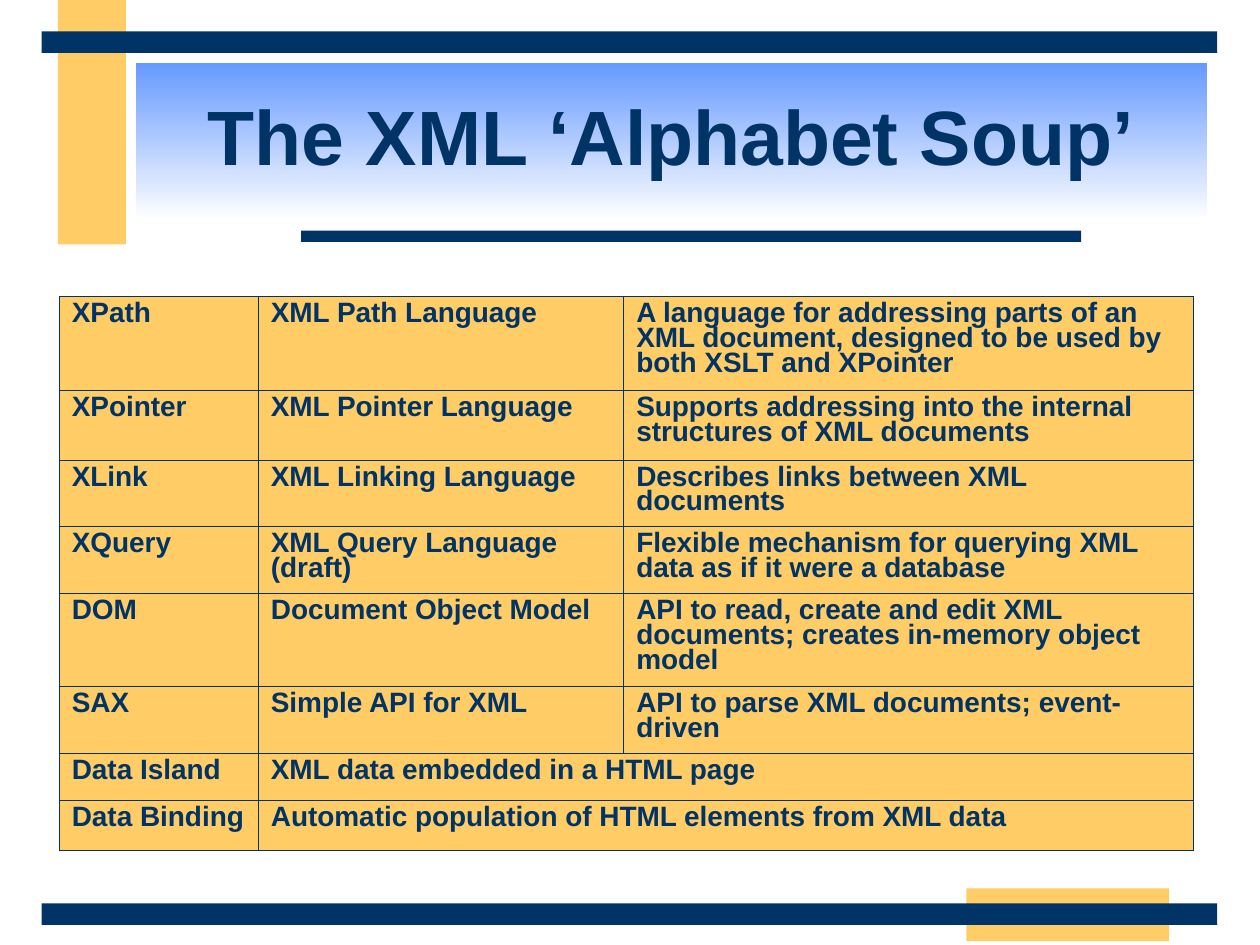
from lxml.etree import SubElement
from pptx import Presentation
from pptx.dml.color import RGBColor
from pptx.enum.shapes import MSO_SHAPE
from pptx.enum.text import MSO_ANCHOR, PP_ALIGN
from pptx.oxml.ns import qn
from pptx.util import Inches, Pt

COLORS = {"navy": "003366", "gold": "FFCC66", "blue": "6699FF", "white": "FFFFFF"}
FONT = "Arial"
BORDER_WIDTH = Pt(0.45)

DECORATIONS = [
    ("gold", (0.46, 0, 0.54, 1.94)),
    ("gold", (7.67, 7.05, 1.61, 0.42)),
    ("navy", (2.39, 1.83, 6.19, 0.09)),
    ("navy", (0.33, 7.17, 9.33, 0.17)),
    ("navy", (0.33, 0.25, 9.33, 0.17)),
]
TITLE_BOX = (1.08, 0.5, 8.5, 1.25)
TABLE_BOX = (0.47, 2.35, 9, 4.4)
COLUMN_WIDTHS = [1.58, 2.9, 4.52]
ROW_HEIGHTS = [0.75, 0.55, 0.53, 0.53, 0.74, 0.53, 0.37, 0.4]

# A row with two entries lets its second one span the last two columns.
TERMS = [
    ("XPath", "XML Path Language",
     "A language for addressing parts of an XML document, "
     "designed to be used by both XSLT and XPointer"),
    ("XPointer", "XML Pointer Language",
     "Supports addressing into the internal structures of XML documents"),
    ("XLink", "XML Linking Language", "Describes links between XML documents"),
    ("XQuery", "XML Query Language (draft)",
     "Flexible mechanism for querying XML data as if it were a database"),
    ("DOM", "Document Object Model",
     "API to read, create and edit XML documents; creates in-memory object model"),
    ("SAX", "Simple API for XML", "API to parse XML documents; event-driven"),
    ("Data Island", "XML data embedded in a HTML page"),
    ("Data Binding", "Automatic population of HTML elements from XML data"),
]


def color(name):
    return RGBColor.from_string(COLORS[name])


def inches(box):
    return [Inches(length) for length in box]


def format_paragraph(paragraph, size, line_spacing, alignment):
    paragraph.alignment = alignment
    paragraph.line_spacing = line_spacing
    paragraph.space_before = Pt(0)
    font = paragraph.font
    font.name, font.size, font.bold = FONT, Pt(size), True
    font.color.rgb = color("navy")


def add_decorations(slide):
    for fill_name, box in DECORATIONS:
        shape = slide.shapes.add_shape(MSO_SHAPE.RECTANGLE, *inches(box))
        shape.shadow.inherit = False
        shape.fill.solid()
        shape.fill.fore_color.rgb = color(fill_name)
        shape.line.fill.background()


def place_title(slide, text, box):
    title = slide.shapes.title
    title.left, title.top, title.width, title.height = inches(box)
    title.fill.gradient()
    title.fill.gradient_angle = 270
    for stop, position, name in zip(title.fill.gradient_stops, (0, 1), ("blue", "white")):
        stop.position = position
        stop.color.rgb = color(name)
    title.text_frame.text = text
    title.text_frame.vertical_anchor = MSO_ANCHOR.MIDDLE
    format_paragraph(title.text_frame.paragraphs[0], 44, 0.85, PP_ALIGN.CENTER)


def style_cell(cell):
    properties = cell._tc.get_or_add_tcPr()
    for side in ("lnL", "lnR", "lnT", "lnB"):
        line = SubElement(properties, qn(f"a:{side}"), w=str(BORDER_WIDTH))
        fill = SubElement(line, qn("a:solidFill"))
        SubElement(fill, qn("a:srgbClr"), val=COLORS["navy"])
    cell.fill.solid()
    cell.fill.fore_color.rgb = color("gold")
    cell.margin_left = cell.margin_right = Inches(0.1)
    cell.margin_top = cell.margin_bottom = Inches(0.05)
    format_paragraph(cell.text_frame.paragraphs[0], 16, 0.8, PP_ALIGN.LEFT)


def add_terms_table(slide, box):
    table = slide.shapes.add_table(len(TERMS), len(COLUMN_WIDTHS), *inches(box)).table
    table.first_row = table.horz_banding = False
    for column, width in zip(table.columns, COLUMN_WIDTHS):
        column.width = Inches(width)
    for row, height in zip(table.rows, ROW_HEIGHTS):
        row.height = Inches(height)
    for row_index, entries in enumerate(TERMS):
        for column_index, text in enumerate(entries):
            table.cell(row_index, column_index).text = text
        if len(entries) == 2:
            table.cell(row_index, 1).merge(table.cell(row_index, 2))
    for cell in table.iter_cells():
        style_cell(cell)


def main():
    presentation = Presentation()
    presentation.slide_width, presentation.slide_height = Inches(10), Inches(7.5)
    slide = presentation.slides.add_slide(presentation.slide_layouts[5])
    add_decorations(slide)
    place_title(slide, "The XML ‘Alphabet Soup’", TITLE_BOX)
    add_terms_table(slide, TABLE_BOX)
    presentation.save("out.pptx")


if __name__ == "__main__":
    main()
